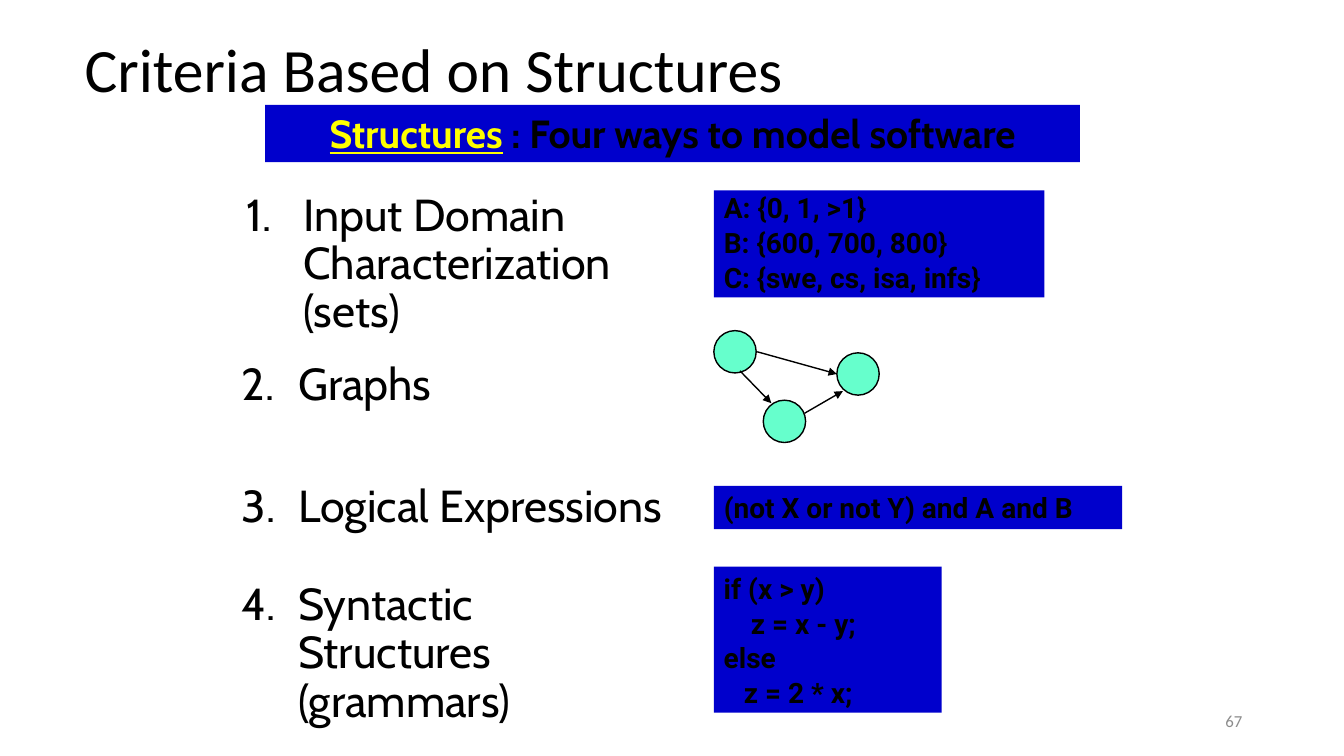
from lxml import etree
from pptx import Presentation
from pptx.dml.color import RGBColor as RGB
from pptx.enum.shapes import MSO_CONNECTOR as CONN, MSO_SHAPE as SHAPE
from pptx.enum.text import MSO_ANCHOR as ANCHOR, PP_ALIGN as ALIGN
from pptx.oxml.ns import qn
from pptx.util import Inches, Pt

COLORS = {"black": "000000", "blue": "0000CC", "yellow": "FFFF00",
          "mint": "66FFCC", "gray": "8C8C8C"}


def rgb(name):
    return RGB.from_string(COLORS[name])


class Deck:
    """Holds the style and the current slide, and draws each kind of element."""

    title_font, list_font, code_font = "Calibri", "Cabin", "Roboto"

    def __init__(self):
        self.prs = Presentation()
        self.prs.slide_width = Inches(13.33)
        self.prs.slide_height = Inches(7.5)
        self.s = self.prs.slides.add_slide(self.prs.slide_layouts[6])

    def style(self, r, size, font, color="black", bold=False):
        r.font.size, r.font.name, r.font.bold = Pt(size), font, bold
        r.font.color.rgb = rgb(color)

    def text(self, box, text, size, font, color="black", align=ALIGN.LEFT, spacing=1.0):
        tf = self.s.shapes.add_textbox(*map(Inches, box)).text_frame
        tf.word_wrap, tf.vertical_anchor = True, ANCHOR.MIDDLE
        tf.text = text
        p = tf.paragraphs[0]
        p.alignment, p.line_spacing = align, spacing
        self.style(p.runs[0], size, font, color)
        return p

    def shape(self, kind, box, fill, line=None):
        sp = self.s.shapes.add_shape(kind, *map(Inches, box))
        sp.shadow.inherit = False
        sp.fill.solid()
        sp.fill.fore_color.rgb = rgb(fill)
        if line:
            sp.line.color.rgb, sp.line.width = rgb(line), Pt(1)
        else:
            sp.line.fill.background()
        return sp

    def banner(self, box, term, rest):
        tf = self.shape(SHAPE.RECTANGLE, box, "blue").text_frame
        tf.word_wrap, tf.vertical_anchor = True, ANCHOR.TOP
        p = tf.paragraphs[0]
        p.alignment = ALIGN.CENTER
        for text, color in ((term, "yellow"), (rest, "black")):
            r = p.add_run()
            r.text = text
            self.style(r, 28, self.list_font, color, True)
            r.font.underline = text == term

    def item(self, number, box, text):
        p = self.text(box, text, 32, self.list_font, spacing=0.9)
        pPr = p._p.get_or_add_pPr()
        pPr.set("marL", str(Inches(0.56)))
        pPr.set("indent", str(-Inches(0.56)))
        clr = etree.SubElement(pPr, qn("a:buClr"))
        etree.SubElement(clr, qn("a:srgbClr"), val=COLORS["black"])
        etree.SubElement(pPr, qn("a:buAutoNum"), type="arabicPeriod", startAt=str(number))

    def code(self, box, lines):
        tf = self.shape(SHAPE.RECTANGLE, box, "blue").text_frame
        tf.word_wrap = True
        tf.vertical_anchor = ANCHOR.BOTTOM if len(lines) > 1 else ANCHOR.TOP
        tf.text = "\n".join(text for text, _ in lines)
        for i, (p, (_, indent)) in enumerate(zip(tf.paragraphs, lines)):
            p.alignment = ALIGN.LEFT
            p._p.get_or_add_pPr().set("marL", str(Inches(indent)))
            if len(lines) > 1:
                p.line_spacing = 0.6
            if i:
                p.space_before = Pt(10.5)
            self.style(p.runs[0], 20, self.code_font, bold=True)

    def node(self, left, top):
        self.shape(SHAPE.OVAL, (left, top, 0.42, 0.42), "mint", "black")

    def arrow(self, *ends):
        c = self.s.shapes.add_connector(CONN.STRAIGHT, *map(Inches, ends))
        c.line.color.rgb, c.line.width = rgb("black"), Pt(1)
        etree.SubElement(c.line._get_or_add_ln(), qn("a:tailEnd"), type="triangle")
        etree.SubElement(c._element.spPr, qn("a:effectLst"))


def main():
    deck = Deck()
    deck.text((0.74, -0.01, 11.5, 1.45), "Criteria Based on Structures",
              44, deck.title_font, spacing=0.9)
    deck.text((9.42, 6.95, 3, 0.4), "67", 12, deck.title_font, "gray", ALIGN.RIGHT)
    deck.banner((2.63, 1.04, 8.08, 0.57), "Structures", " : Four ways to model software")

    items = [(2.35, 1.9, 1.46, "Input Domain Characterization (sets)"),
             (2.3, 3.51, 0.64, "Graphs"),
             (2.3, 4.63, 0.81, "Logical Expressions"),
             (2.3, 5.91, 1.16, "Syntactic Structures (grammars)")]
    for number, (left, top, height, text) in enumerate(items, 1):
        deck.item(number, (left, top, 4.39, height), text)

    examples = [
        (1.89, 3.28, 1.06, [("A: {0, 1, >1}", 0), ("B: {600, 700, 800}", 0),
                            ("C: {swe, cs, isa, infs}", 0)]),
        (4.82, 4.05, 0.43, [("(not X or not Y) and A and B", 0)]),
        (5.62, 2.26, 1.45, [("if (x > y)", 0), ("z = x - y;", 0.27),
                            ("else", 0), ("z = 2 * x;", 0.2)]),
    ]
    for top, width, height, lines in examples:
        deck.code((7.08, top, width, height), lines)

    for center in ((7.08, 3.28), (8.3, 3.5), (7.57, 3.97)):
        deck.node(*center)
    for ends in ((7.51, 3.49, 8.3, 3.71), (7.34, 3.68, 7.65, 4), (7.98, 4.1, 8.36, 3.88)):
        deck.arrow(*ends)

    deck.prs.save("out.pptx")


if __name__ == "__main__":
    main()
